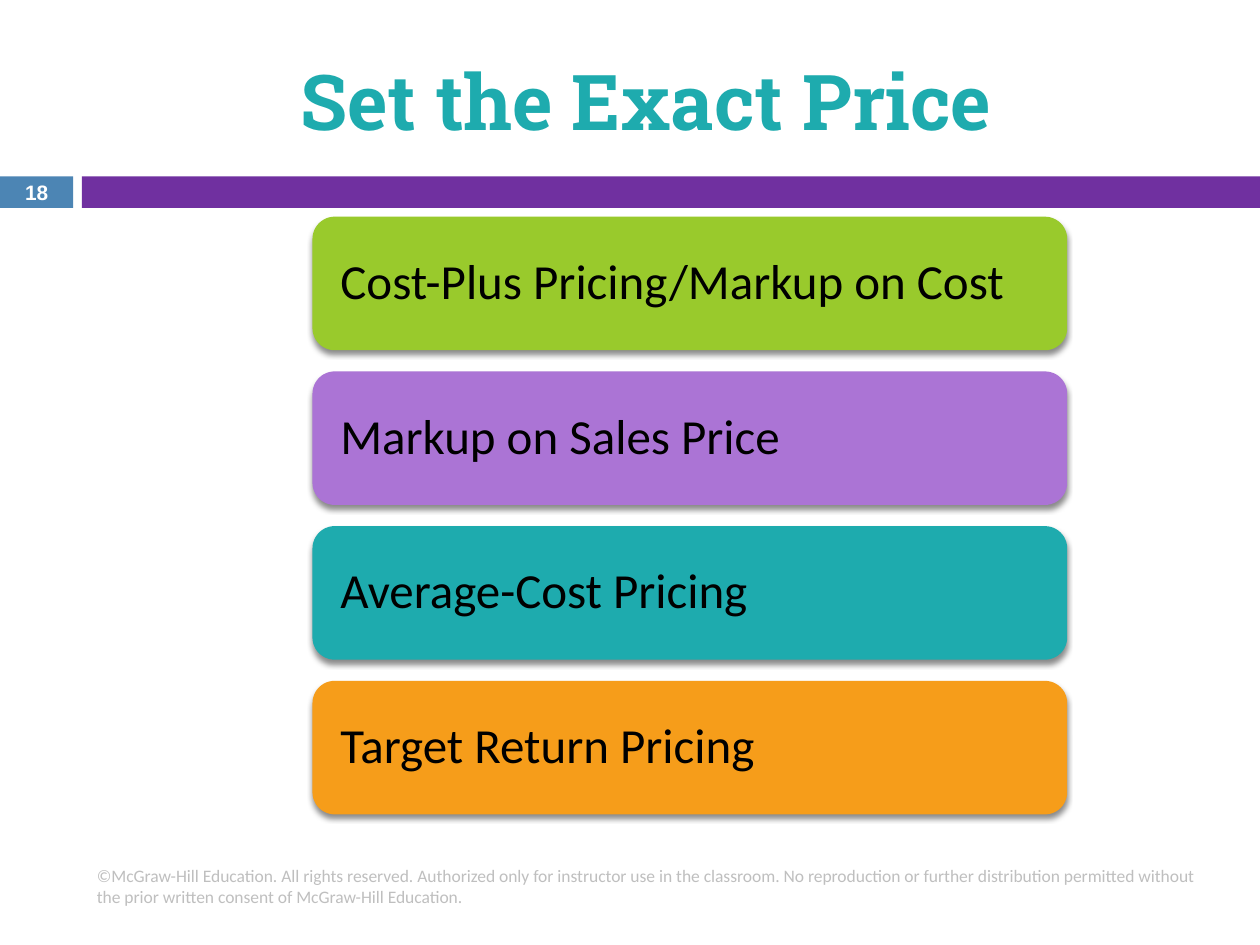
from lxml import etree
from pptx import Presentation
from pptx.dml.color import RGBColor
from pptx.enum import shapes, text
from pptx.oxml import ns
from pptx.util import Inches, Pt

WHITE = RGBColor(0xFF, 0xFF, 0xFF)
BLACK = RGBColor(0, 0, 0)
GRAY = RGBColor(0xBF, 0xBF, 0xBF)
BLUE = RGBColor(0x4C, 0x85, 0xB4)
PURPLE = RGBColor(0x70, 0x30, 0xA0)
TEAL = RGBColor(0x1E, 0xAB, 0xAE)
LIME = RGBColor(0x99, 0xCA, 0x2C)
LILAC = RGBColor(0xAB, 0x74, 0xD5)
ORANGE = RGBColor(0xF6, 0x9D, 0x1A)

TITLE = "Set the Exact Price"
PAGE_NUMBER = "18"
METHODS = [
    ("Cost-Plus Pricing/Markup on Cost", LIME),
    ("Markup on Sales Price", LILAC),
    ("Average-Cost Pricing", TEAL),
    ("Target Return Pricing", ORANGE),
]
COPYRIGHT = (
    "©McGraw-Hill Education. All rights reserved. Authorized only for instructor "
    "use in the classroom. No reproduction or further distribution permitted "
    "without the prior written consent of McGraw-Hill Education."
)

CARD_LEFT, CARD_TOP, CARD_WIDTH, CARD_HEIGHT = 2.48, 1.72, 5.99, 1.06
CARD_PITCH = 1.228
CARD_INSET = 0.17


def add_block(slide, kind, box, color):
    shape = slide.shapes.add_shape(kind, *map(Inches, box))
    shape.shadow.inherit = False
    shape.fill.solid()
    shape.fill.fore_color.rgb = color
    shape.line.fill.background()
    return shape


def write(shape, words, font, size, color, bold=False,
          align=text.PP_ALIGN.LEFT, inset=0.1):
    frame = shape.text_frame
    frame.word_wrap = True
    frame.auto_size = text.MSO_AUTO_SIZE.NONE
    frame.vertical_anchor = text.MSO_ANCHOR.MIDDLE
    frame.margin_left = frame.margin_right = Inches(inset)
    frame.margin_top = frame.margin_bottom = Inches(min(inset, 0.05))
    paragraph = frame.paragraphs[0]
    paragraph.alignment = align
    run = paragraph.add_run()
    run.text = words
    run.font.name = font
    run.font.size = Pt(size)
    run.font.bold = bold
    run.font.color.rgb = color
    return paragraph


def add_drop_shadow(shape):
    effects = shape._element.spPr.find(ns.qn("a:effectLst"))
    shadow = etree.SubElement(
        effects, ns.qn("a:outerShdw"), blurRad=str(Pt(3)), dist=str(Pt(2.4)),
        dir="5400000", rotWithShape="0")
    color = etree.SubElement(shadow, ns.qn("a:srgbClr"), val=str(BLACK))
    etree.SubElement(color, ns.qn("a:alpha"), val="45000")


def main():
    presentation = Presentation()
    presentation.slide_width, presentation.slide_height = Inches(10), Inches(7.5)
    slide = presentation.slides.add_slide(presentation.slide_layouts[5])
    rectangle = shapes.MSO_SHAPE.RECTANGLE
    center = text.PP_ALIGN.CENTER

    number = add_block(slide, rectangle, (0, 1.4, 0.58, 0.25), BLUE)
    write(number, PAGE_NUMBER, "Arial", 11.9, WHITE, True, center, 0)
    add_block(slide, rectangle, (0.65, 1.4, 9.35, 0.25), PURPLE)

    title = slide.shapes.title
    title.left, title.top = Inches(0.67), Inches(0.25)
    title.width, title.height = Inches(8.92), Inches(1.08)
    write(title, TITLE, "Roboto Slab", 44, TEAL, True, center)

    for index, (method, color) in enumerate(METHODS):
        box = (CARD_LEFT, CARD_TOP + index * CARD_PITCH, CARD_WIDTH, CARD_HEIGHT)
        card = add_block(slide, shapes.MSO_SHAPE.ROUNDED_RECTANGLE, box, color)
        add_drop_shadow(card)
        paragraph = write(card, method, "Calibri", 28, BLACK, inset=CARD_INSET)
        paragraph.line_spacing = 0.9

    footer = slide.shapes.add_textbox(
        Inches(0.67), Inches(6.83), Inches(8.92), Inches(0.4))
    write(footer, COPYRIGHT, "Calibri", 10, GRAY)

    presentation.save("out.pptx")


if __name__ == "__main__":
    main()
